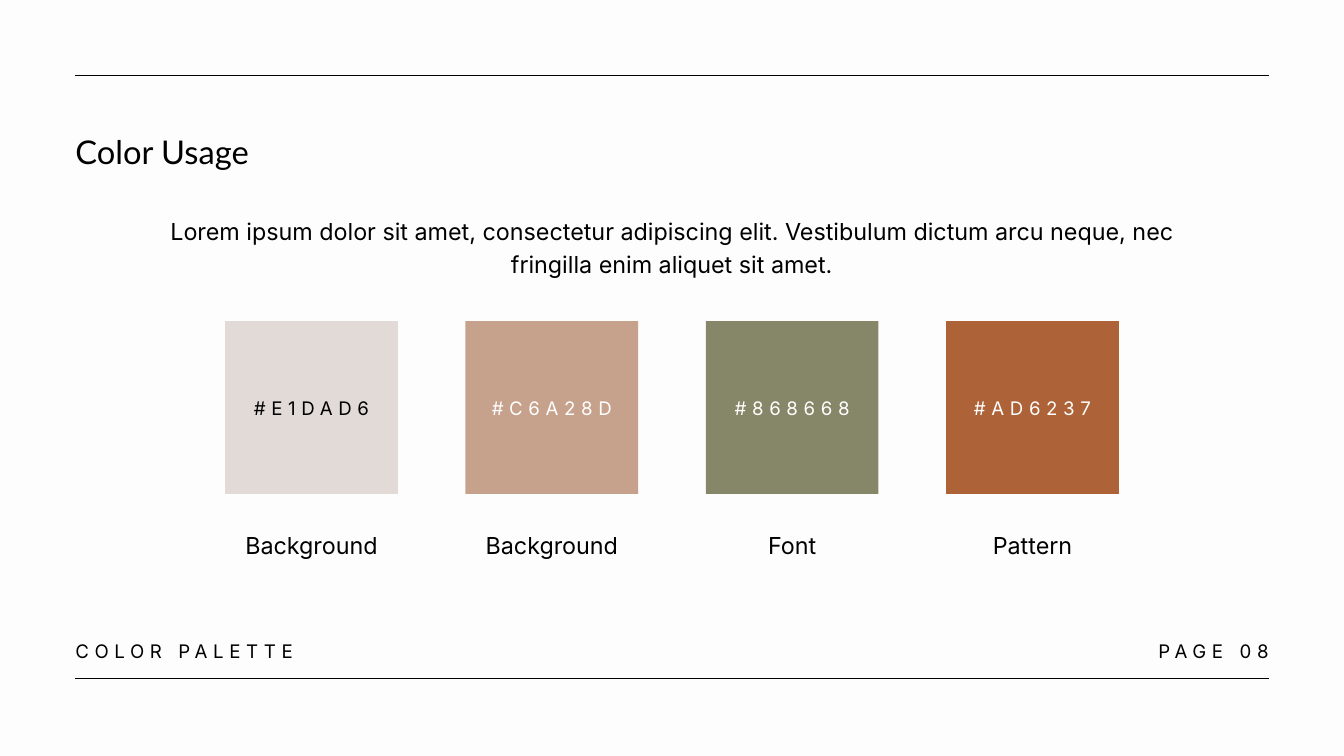
from pptx import Presentation
from pptx.dml.color import RGBColor
from pptx.enum.shapes import MSO_CONNECTOR as CONN, MSO_SHAPE as SHAPE
from pptx.enum.text import MSO_ANCHOR as ANCHOR, MSO_AUTO_SIZE as FIT, PP_ALIGN as ALIGN
from pptx.oxml.ns import qn
from pptx.util import Inches, Pt
from lxml import etree

BLACK = RGBColor(0, 0, 0)
WHITE = RGBColor(255, 255, 255)
PAPER = RGBColor(0xFD, 0xFD, 0xFD)

TITLE = "Color Usage"
INTRO = ("Lorem ipsum dolor sit amet, consectetur adipiscing elit. "
         "Vestibulum dictum arcu neque, nec fringilla enim aliquet sit amet.")
SWATCHES = [
    ("E1DAD6", "Background", BLACK),
    ("C6A28D", "Background", WHITE),
    ("868668", "Font", WHITE),
    ("AD6237", "Pattern", WHITE),
]
SECTION, PAGE = "COLOR PALETTE", "PAGE 08"

SLIDE_W, SLIDE_H = 20, 11.25
MARGIN = 1.12
RIGHT = SLIDE_W - MARGIN
RULES_Y = (MARGIN, 10.1)
SWATCH, SWATCH_LEFT, SWATCH_TOP = 2.57, 3.35, 4.78
PITCH = (SLIDE_W - 2 * SWATCH_LEFT - SWATCH) / (len(SWATCHES) - 1)
CODE_TOP, LABEL_TOP, LABEL_W = 5.85, 7.84, 2.79
FOOTER_TOP = 9.47
LEADING = 1.4


def fill_text(sp, text, size, align=ALIGN.LEFT, color=BLACK, font="Inter", spacing=0):
    tf = sp.text_frame
    tf.word_wrap = True
    tf.auto_size = FIT.NONE
    tf.vertical_anchor = ANCHOR.TOP
    tf.margin_left = tf.margin_top = tf.margin_right = tf.margin_bottom = 0
    p = tf.paragraphs[0]
    p.alignment = align
    p.line_spacing = Pt(size * LEADING)
    r = p.add_run()
    r.text = text
    r.font.name = font
    r.font.size = Pt(size)
    r.font.color.rgb = color
    if spacing:
        r._r.get_or_add_rPr().set("spc", str(spacing * 100))


def add_text(slide, x, y, w, h, text, size, align=ALIGN.LEFT, **style):
    sp = slide.shapes.add_textbox(Inches(x), Inches(y), Inches(w), Inches(h))
    fill_text(sp, text, size, align, **style)


def add_swatch(slide, x, code, label, color):
    sp = slide.shapes.add_shape(SHAPE.RECTANGLE, Inches(x), Inches(SWATCH_TOP),
                                Inches(SWATCH), Inches(SWATCH))
    sp.shadow.inherit = False
    sp.fill.solid()
    sp.fill.fore_color.rgb = RGBColor.from_string(code)
    sp.line.fill.background()
    add_text(slide, x, CODE_TOP, SWATCH, 0.38, "#" + code, 20, ALIGN.CENTER,
             color=color, spacing=6)
    add_text(slide, x + (SWATCH - LABEL_W) / 2, LABEL_TOP, LABEL_W, 0.46,
             label, 25, ALIGN.CENTER)


def add_rule(slide, y):
    line = slide.shapes.add_connector(CONN.STRAIGHT, Inches(MARGIN), Inches(y),
                                      Inches(RIGHT), Inches(y))
    line.line.color.rgb = BLACK
    line.line.width = Pt(1.5)
    etree.SubElement(line._element.spPr, qn("a:effectLst"))


def main():
    prs = Presentation()
    prs.slide_width, prs.slide_height = Inches(SLIDE_W), Inches(SLIDE_H)
    slide = prs.slides.add_slide(prs.slide_layouts[5])
    slide.background.fill.solid()
    slide.background.fill.fore_color.rgb = PAPER

    title = slide.shapes.title
    title.left, title.top = Inches(MARGIN), Inches(1.87)
    title.width, title.height = Inches(5.11), Inches(0.65)
    fill_text(title, TITLE, 35, font="Lato")

    add_text(slide, 1.95, 3.16, 16.09, 0.94, INTRO, 25, ALIGN.CENTER)
    for i, swatch in enumerate(SWATCHES):
        add_swatch(slide, SWATCH_LEFT + i * PITCH, *swatch)

    for y in RULES_Y:
        add_rule(slide, y)
    add_text(slide, MARGIN, FOOTER_TOP, 4.01, 0.38, SECTION, 20, spacing=6)
    add_text(slide, RIGHT - 3.24, FOOTER_TOP, 3.24, 0.38, PAGE, 20, ALIGN.RIGHT, spacing=6)
    prs.save("out.pptx")


if __name__ == "__main__":
    main()
